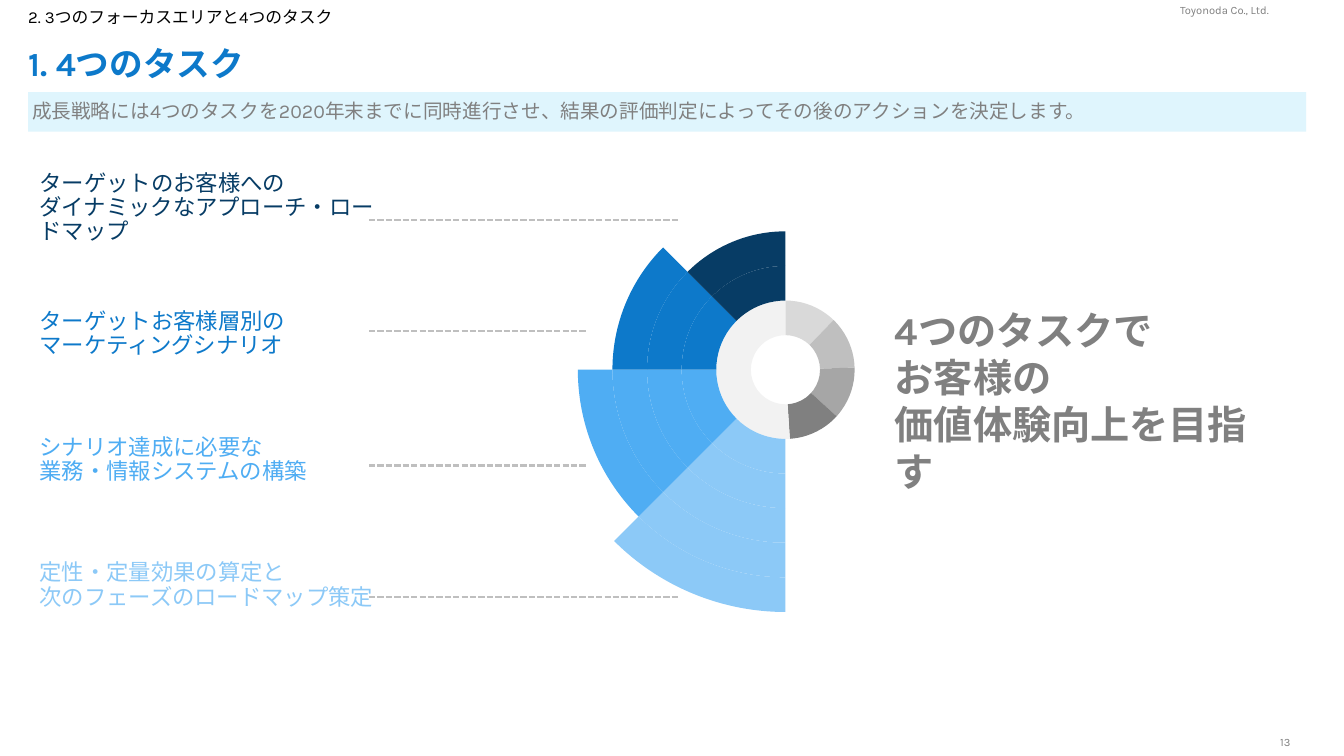
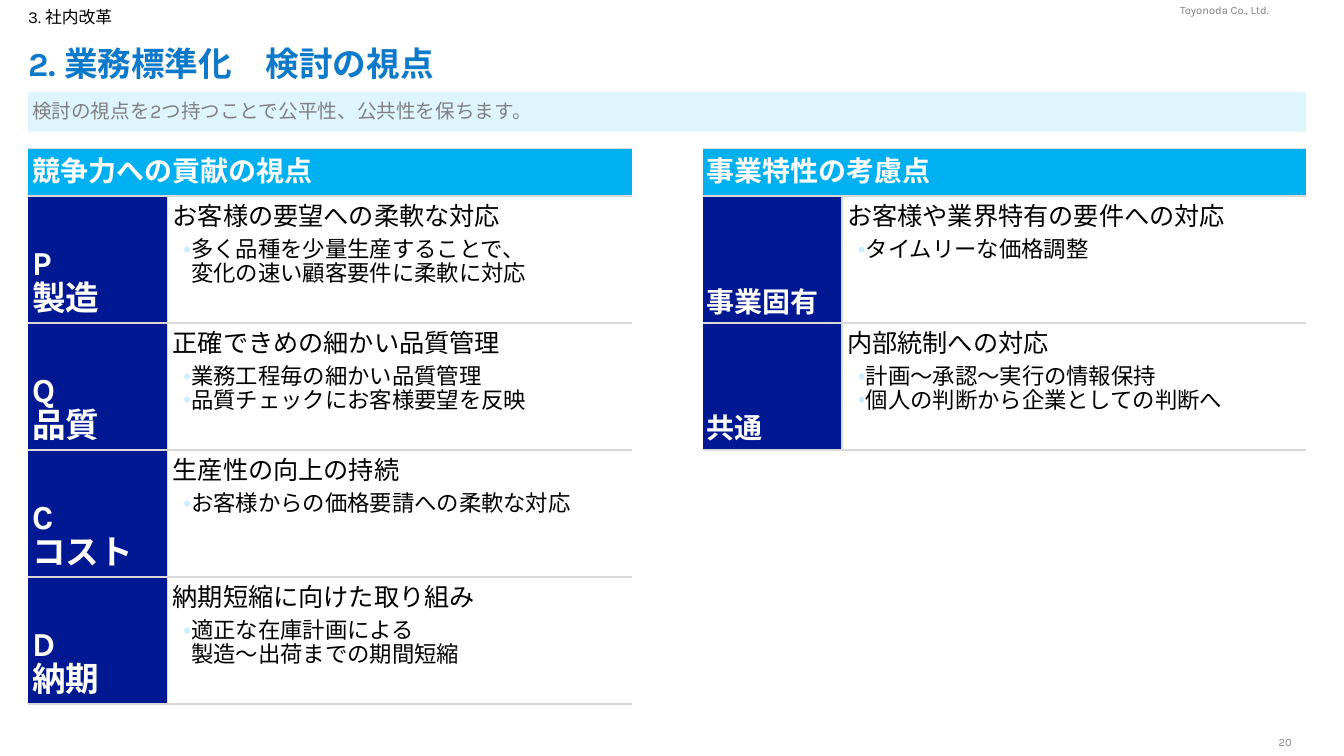
"""Build two slides: the four growth tasks and the viewpoints for standardising work."""
from lxml import etree
from pptx import Presentation
from pptx.chart.data import CategoryChartData
from pptx.chart.point import Point
from pptx.dml.color import RGBColor
from pptx.enum.chart import XL_CHART_TYPE
from pptx.enum.dml import MSO_LINE
from pptx.enum.lang import MSO_LANGUAGE_ID
from pptx.enum.shapes import MSO_CONNECTOR, MSO_SHAPE
from pptx.enum.text import MSO_ANCHOR, PP_ALIGN
from pptx.oxml import parse_xml
from pptx.oxml.ns import nsdecls, qn
from pptx.util import Cm, Pt

DOUGHNUT = XL_CHART_TYPE.DOUGHNUT
SYS_DASH = MSO_LINE.SQUARE_DOT
JAPANESE = MSO_LANGUAGE_ID.JAPANESE
STRAIGHT = MSO_CONNECTOR.STRAIGHT
RECT = MSO_SHAPE.RECTANGLE
TOP, MIDDLE, BOTTOM = MSO_ANCHOR.TOP, MSO_ANCHOR.MIDDLE, MSO_ANCHOR.BOTTOM
ALIGN_LEFT, CENTER = PP_ALIGN.LEFT, PP_ALIGN.CENTER
rgb = RGBColor.from_string

FONT = "Karla"
BLACK, WHITE, GRAY = "000000", "FFFFFF", "808080"
BLUE, BAND, RULE = "0D79CA", "DFF5FD", "D9D9D9"
HEADER, LABEL, BULLET = "00B0F0", "001992", "CCECFF"
LEADER = "BFBFBF"
NO_STYLE = "{2D5ABB26-0587-4C30-8999-92F81FD0307C}"
LEFT, WIDTH = 0.71, 32.21


def frame(sp, anchor=MIDDLE, side=0, ends=0.13):
    """Set wrapping, anchor and margins of a shape and return its text frame."""
    tf = sp.text_frame
    tf.word_wrap = True
    tf.vertical_anchor = anchor
    tf.margin_left = tf.margin_right = Cm(side)
    tf.margin_top = tf.margin_bottom = Cm(ends)
    return tf


def write(tf, text, size, color, bold=False, spacing=0.9):
    """Add one paragraph, breaking lines at newlines, and return it."""
    p = tf.paragraphs[0] if not tf.paragraphs[0].runs else tf.add_paragraph()
    p.alignment = ALIGN_LEFT
    p.line_spacing = spacing
    for i, line in enumerate(text.split("\n")):
        if i:
            p.add_line_break()
        r = p.add_run()
        r.text = line
        r.font.size = Pt(size)
        r.font.bold = bold
        r.font.color.rgb = rgb(color)
        r.font.name = FONT
        r.font.language_id = JAPANESE
        etree.SubElement(r.font._element, qn("a:ea"), typeface=FONT)
    return p


prs = Presentation()
prs.slide_width, prs.slide_height = Cm(33.87), Cm(19.05)

pages = [
    ("2. 3つのフォーカスエリアと4つのタスク", "1. 4つのタスク",
     "成長戦略には4つのタスクを2020年末までに同時進行させ、結果の評価判定によってその後のアクションを決定します。", "13"),
    ("3. 社内改革", "2. 業務標準化　検討の視点",
     "検討の視点を2つ持つことで公平性、公共性を保ちます。", "20"),
]
for section, title, lead, number in pages:
    s = prs.slides.add_slide(prs.slide_layouts[6])
    sp = s.shapes.add_textbox(Cm(29.74), Cm(0.1), Cm(2.5), Cm(0.33))
    write(frame(sp, ends=0), "Toyonoda Co., Ltd.", 8, GRAY, spacing=1.0)
    sp = s.shapes.add_textbox(Cm(31.83), Cm(18.52), Cm(1.12), Cm(0.33))
    write(frame(sp, TOP, ends=0), number, 8, GRAY, spacing=1.0).alignment = CENTER
    sp = s.shapes.add_shape(RECT, Cm(LEFT), Cm(2.32), Cm(WIDTH), Cm(1))
    sp.shadow.inherit = False
    sp.fill.solid()
    sp.fill.fore_color.rgb = rgb(BAND)
    sp.line.fill.background()
    write(frame(sp, side=0.1), lead, 14, GRAY)
    sp = s.shapes.add_textbox(Cm(LEFT), Cm(0.1), Cm(16.2), Cm(0.7))
    write(frame(sp), section, 12, BLACK)
    sp = s.shapes.add_textbox(Cm(LEFT), Cm(0.9), Cm(WIDTH), Cm(1.5))
    write(frame(sp), title, 24, BLUE, bold=True)

tasks_slide, views_slide = prs.slides

tasks = [
    (["ターゲットのお客様への\nダイナミックなアプローチ・ロードマップ"], "073C65", 5.54, 17.1),
    (["ターゲットお客様層別の", "マーケティングシナリオ"], BLUE, 8.33, 14.8),
    (["シナリオ達成に必要な", "業務・情報システムの構築"], "4FADF3", 11.73, 14.8),
    (["定性・定量効果の算定と", "次のフェーズのロードマップ策定"], "8CC9F7", 15.04, 17.1),
]
for i, (lines, color, y, end) in enumerate(tasks):
    line = tasks_slide.shapes.add_connector(STRAIGHT, Cm(9.3), Cm(y), Cm(end), Cm(y))
    line.line.color.rgb = rgb(LEADER)
    line.line.width = Pt(1.5)
    line.line.dash_style = SYS_DASH
    etree.SubElement(line._element.spPr, qn("a:effectLst"))
    sp = tasks_slide.shapes.add_textbox(Cm(1), Cm(4.55 + 3.17 * i), Cm(8.71), Cm(1.4))
    tf = frame(sp)
    for text in lines:
        write(tf, text, 16, color)

data = CategoryChartData()
data.categories = ["1", "2", "3", "4"]
data.add_series("Series 1", [12] * 4 + [50] + [None] * 4)
for n in range(2, 7):
    data.add_series(f"Series {n}", [12] * 8 + [None])
chart = tasks_slide.shapes.add_chart(
    DOUGHNUT, Cm(13.61), Cm(3.15), Cm(12.37), Cm(12.88), data).chart
chart.has_legend = False
chart.has_title = False
chart.font.name = FONT
chart.font.size = Pt(10)
chart.font.color.rgb = rgb(BLACK)
plot = chart.plots[0]
plot.vary_by_categories = True
plot._element.find(qn("c:holeSize")).set("val", "25")
area = chart._chartSpace.chart.plotArea
for old in area.findall(qn("c:layout")):
    area.remove(old)
area.insert(0, parse_xml(
    f'<c:layout {nsdecls("c")}><c:manualLayout><c:layoutTarget val="inner"/>'
    '<c:xMode val="edge"/><c:yMode val="edge"/><c:x val="0.006"/><c:y val="0.005"/>'
    '<c:w val="1"/><c:h val="0.948"/></c:manualLayout></c:layout>'))

task_colors = [color for _, color, _, _ in reversed(tasks)]
rings = [["D9D9D9", "BFBFBF", "A6A6A6", GRAY, "F2F2F2"]]
for shown in (4, 4, 3, 2, 1):
    rings.append([None] * 4 + task_colors[:shown] + [None] * (4 - shown))
for series, colors in zip(plot.series, rings):
    for i, color in enumerate(colors):
        wedge = Point(series._element, i).format
        wedge.line.fill.background()
        if color:
            wedge.fill.solid()
            wedge.fill.fore_color.rgb = rgb(color)
        else:
            wedge.fill.background()

sp = tasks_slide.shapes.add_textbox(Cm(22.3), Cm(7.59), Cm(10.16), Cm(3.84))
tf = frame(sp, TOP, side=0.25)
for text in ("4つのタスクで", "お客様の", "価値体験向上を目指す"):
    write(tf, text, 28, GRAY, bold=True, spacing=1.0)

tables = [
    (LEFT, "競争力への貢献の視点", 24, [
        (["P", "製造"], "お客様の要望への柔軟な対応",
         ["多く品種を少量生産することで、\n変化の速い顧客要件に柔軟に対応"]),
        (["Q", "品質"], "正確できめの細かい品質管理",
         ["業務工程毎の細かい品質管理", "品質チェックにお客様要望を反映"]),
        (["C", "コスト"], "生産性の向上の持続", ["お客様からの価格要請への柔軟な対応"]),
        (["D", "納期"], "納期短縮に向けた取り組み",
         ["適正な在庫計画による\n製造～出荷までの期間短縮"]),
    ]),
    (17.71, "事業特性の考慮点", 20, [
        (["事業固有"], "お客様や業界特有の要件への対応", ["タイムリーな価格調整"]),
        (["共通"], "内部統制への対応",
         ["計画～承認～実行の情報保持", "個人の判断から企業としての判断へ"]),
    ]),
]
for x, heading, label_size, rows in tables:
    height = 1.2 + 3.2 * len(rows)
    tbl = views_slide.shapes.add_table(
        len(rows) + 1, 2, Cm(x), Cm(3.74), Cm(15.21), Cm(height)).table
    tbl.first_row = tbl.horz_banding = False
    tbl._tbl.tblPr.find(qn("a:tableStyleId")).text = NO_STYLE
    tbl.columns[0].width, tbl.columns[1].width = Cm(3.51), Cm(11.7)
    for i, row in enumerate(tbl.rows):
        row.height = Cm(3.2 if i else 1.2)
        for j, cell in enumerate(row.cells):
            cell.margin_left, cell.margin_right = Cm(0.1), Cm(0)
            cell.margin_top, cell.margin_bottom = Cm(0.2 if i else 0.13), Cm(0.13)
            cell.vertical_anchor = MIDDLE if i == 0 else TOP if j else BOTTOM
            tcPr = cell._tc.get_or_add_tcPr()
            for side in "LTB" if i and j else "TB":
                tcPr.append(parse_xml(
                    f'<a:ln{side} {nsdecls("a")} w="12700"><a:solidFill>'
                    f'<a:srgbClr val="{RULE}"/></a:solidFill></a:ln{side}>'))
            if i and j:
                cell.fill.background()
            else:
                cell.fill.solid()
                cell.fill.fore_color.rgb = rgb(LABEL if i else HEADER)
    tbl.cell(0, 0).merge(tbl.cell(0, 1))
    write(tbl.cell(0, 0).text_frame, heading, 20, WHITE, bold=True)
    for i, (label, point, details) in enumerate(rows, 1):
        for text in label:
            write(tbl.cell(i, 0).text_frame, text, label_size, WHITE, bold=True)
        tf = tbl.cell(i, 1).text_frame
        p = write(tf, point, 18, BLACK)
        p.space_after = Pt(6)
        p._p.get_or_add_pPr().set("marL", str(Cm(0.03)))
        for text in details:
            pPr = write(tf, text, 16, BLACK)._p.get_or_add_pPr()
            pPr.set("marL", str(Cm(0.5)))
            pPr.set("indent", str(Cm(-0.2)))
            color = etree.SubElement(pPr, qn("a:buClr"))
            etree.SubElement(color, qn("a:srgbClr"), val=BULLET)
            etree.SubElement(pPr, qn("a:buFont"), typeface="Arial")
            etree.SubElement(pPr, qn("a:buChar"), char="•")

prs.save("out.pptx")
